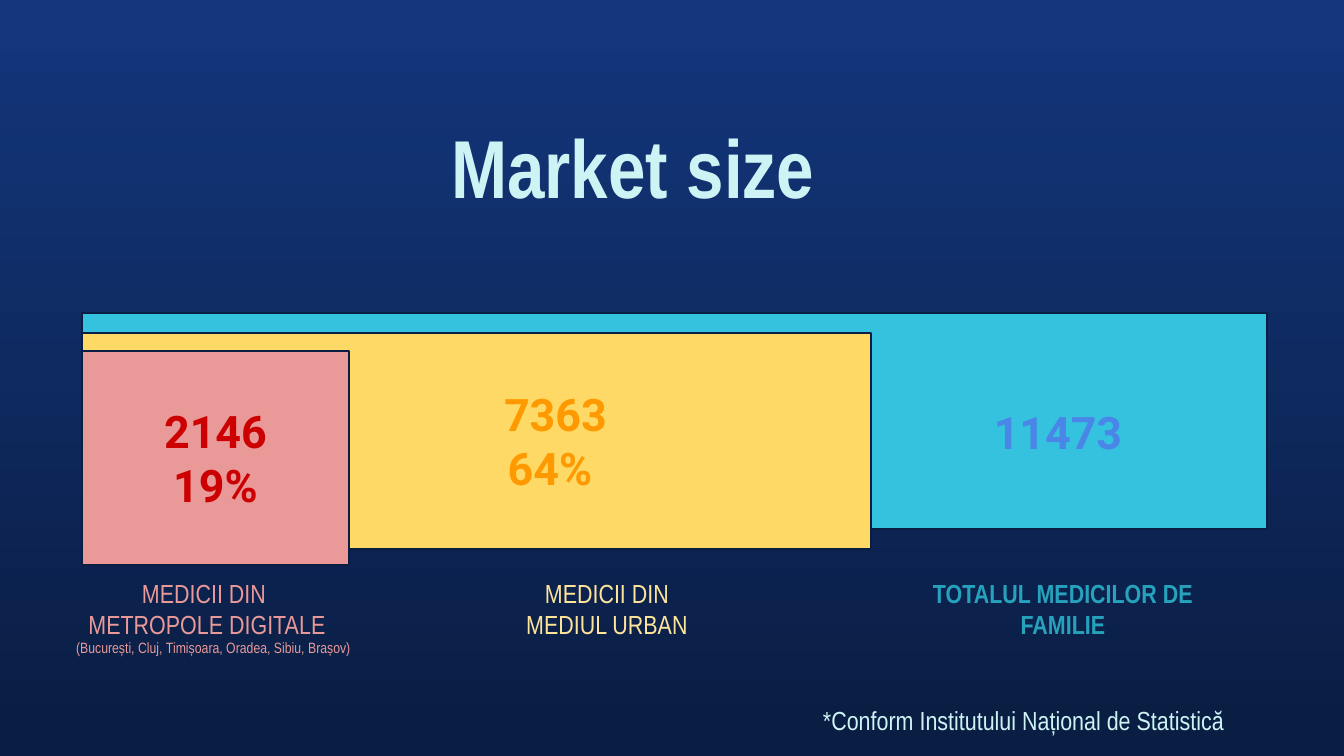
from pptx import Presentation
from pptx.dml.color import RGBColor
from pptx.enum.shapes import MSO_SHAPE as SHAPE
from pptx.enum.text import MSO_ANCHOR as ANCHOR, MSO_AUTO_SIZE as AUTO, PP_ALIGN as ALIGN
from pptx.util import Emu, Pt

PX_PER_INCH = 134.4
INSET = 13
NARROW, ROBOTO = "Arial Narrow", "Roboto"
NAVY, PALE, PINK = "0A1D42", "CEF3F5", "EA9999"
BAR_LEFT = 82


def px(n):
    return Emu(round(n * 914400 / PX_PER_INCH))


def rgb(value):
    return RGBColor.from_string(value)


def place(sp, box):
    sp.left, sp.top, sp.width, sp.height = map(px, box)


def write(sp, lines, size, color, font=NARROW, bold=False, align=ALIGN.CENTER,
          anchor=ANCHOR.TOP):
    """Fill a shape's text frame with one paragraph per line."""
    tf = sp.text_frame
    tf.word_wrap = True
    tf.auto_size = AUTO.NONE
    tf.vertical_anchor = anchor
    tf.margin_left = tf.margin_right = tf.margin_top = tf.margin_bottom = px(INSET)
    for i, line in enumerate(lines):
        p = tf.add_paragraph() if i else tf.paragraphs[0]
        p.alignment = align
        r = p.add_run()
        r.text = line
        r.font.name, r.font.size, r.font.bold = font, Pt(size), bold
        r.font.color.rgb = rgb(color)


def add_text(s, box, lines, size, color, **style):
    sp = s.shapes.add_textbox(*map(px, box))
    write(sp, lines, size, color, **style)


def add_bar(s, top, width, height, color):
    sp = s.shapes.add_shape(SHAPE.RECTANGLE, *map(px, (BAR_LEFT, top, width, height)))
    sp.shadow.inherit = False
    sp.fill.solid()
    sp.fill.fore_color.rgb = rgb(color)
    sp.line.color.rgb = rgb(NAVY)
    sp.line.width = Pt(0.75)
    return sp


def set_background(s, top_color, bottom_color):
    fill = s.background.fill
    fill.gradient()
    fill.gradient_angle = 270
    for stop, position, color in zip(fill.gradient_stops, (0, 1), (top_color, bottom_color)):
        stop.position = position
        stop.color.rgb = rgb(color)


def main():
    prs = Presentation()
    prs.slide_width, prs.slide_height = px(1344), px(756)
    s = prs.slides.add_slide(prs.slide_layouts[5])
    set_background(s, "13367C", NAVY)

    title = s.shapes.title
    place(title, (438, 103, 491, 126))
    write(title, ["Market size"], 44, PALE, bold=True, align=ALIGN.LEFT)

    figure = {"font": ROBOTO, "bold": True}
    add_bar(s, 313, 1185, 216, "35C2DF")
    add_text(s, (924, 392, 268, 82), ["11473"], 24, "4A86E8", **figure)
    add_bar(s, 333, 789, 216, "FFD966")
    add_text(s, (343, 374, 425, 136), ["7363", "64% "], 24, "FF9900", **figure)
    metro = add_bar(s, 351, 267, 214, PINK)
    write(metro, ["2146", "19%"], 24, "CC0000", anchor=ANCHOR.MIDDLE, **figure)

    labels = [
        (24, 366, ["MEDICII DIN ", "METROPOLE DIGITALE"], PINK, False),
        (484, 246, ["MEDICII DIN", "MEDIUL URBAN"], "FFE599", False),
        (915, 296, ["TOTALUL MEDICILOR DE FAMILIE"], "26A2BC", True),
    ]
    for left, width, lines, color, bold in labels:
        add_text(s, (left, 564, width, 90), lines, 14, color, bold=bold)

    add_text(s, (63, 626, 335, 46), ["(București, Cluj, Timișoara, Oradea, Sibiu, Brașov)"],
             8, PINK, align=ALIGN.LEFT)
    add_text(s, (810, 691, 534, 59), ["*Conform Institutului Național de Statistică"],
             14, PALE, align=ALIGN.LEFT)
    prs.save("out.pptx")


if __name__ == "__main__":
    main()
